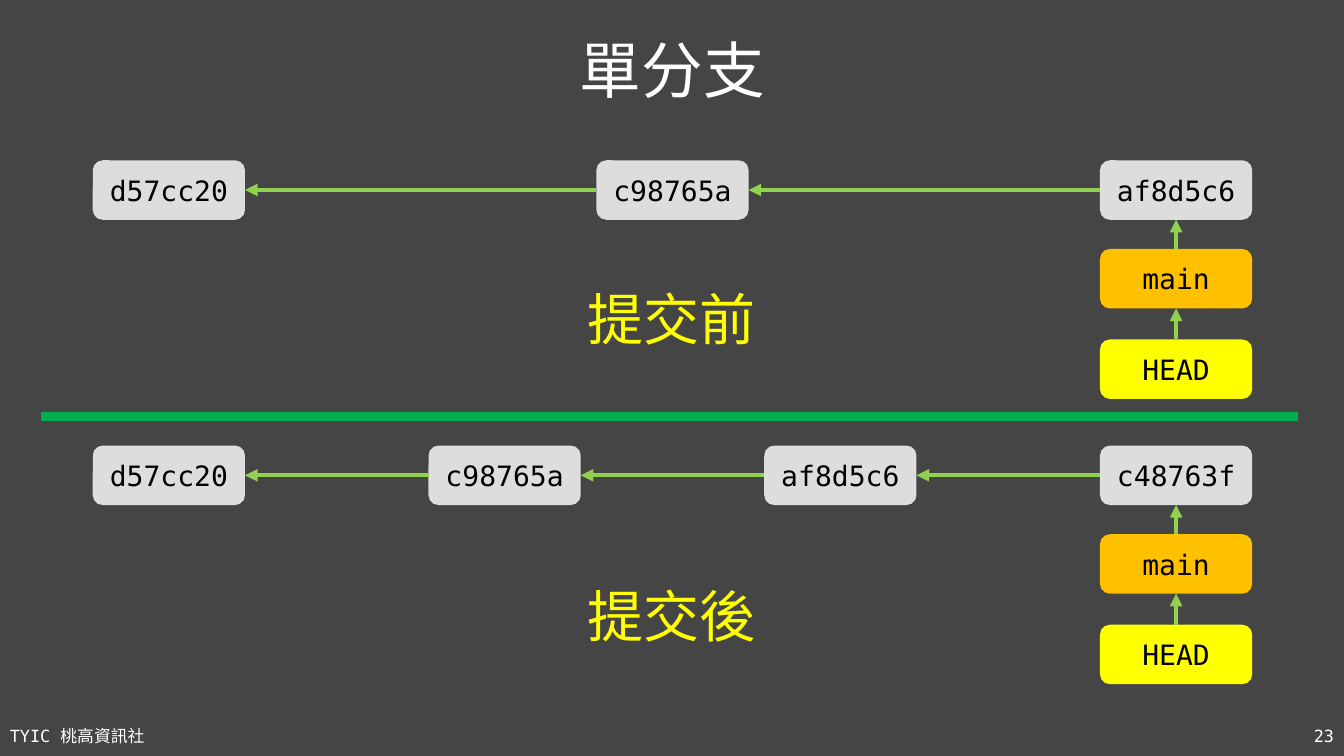
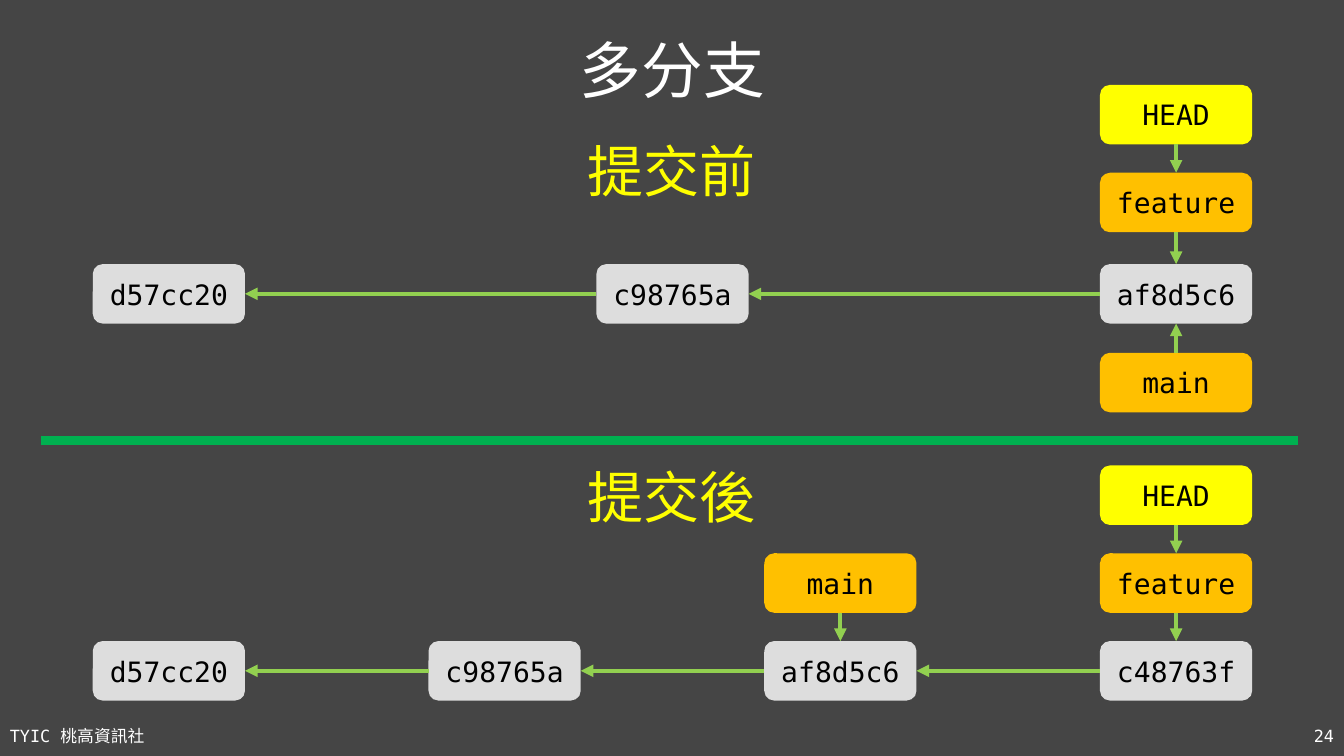
"""Builds two slides that compare commit histories before and after a commit."""
from dataclasses import dataclass

from lxml import etree
from pptx import Presentation
from pptx import util as u
from pptx.dml.color import RGBColor
from pptx.enum import shapes, text
from pptx.oxml.ns import qn

SLIDE_W, SLIDE_H = 13.33, 7.5
FONT = "DejaVu Sans Mono"
BACKGROUND, WHITE, BLACK = "454545", "FFFFFF", "000000"
COMMIT, BRANCH, HEAD = "DDDDDD", "FFC000", "FFFF00"
ARROW, DIVIDER = "92D050", "00B050"
NODE_W, NODE_H = 1.51, 0.59
FIRST_X, LAST_X = 0.92, 10.91
STEP = 0.88
FOOTER = "TYIC 桃高資訊社"
FOOTER_W, FOOTER_H = 3, 0.4
FIRST_PAGE = 23
TOP, LEFT, BOTTOM, RIGHT = range(4)
ALIGN, ANCHOR = text.PP_ALIGN, text.MSO_ANCHOR


@dataclass(frozen=True)
class Pointer:
    """A branch or HEAD box, placed below (+) or above (-) its commit."""
    name: str
    commit: int
    rows: float
    fill: str = BRANCH


@dataclass(frozen=True)
class History:
    """A row of commits with pointers listed outwards from each commit."""
    caption: str
    caption_y: float
    y: float
    commits: tuple[str, ...]
    pointers: tuple[Pointer, ...]


@dataclass(frozen=True)
class Comparison:
    """One slide with a history on each side of a divider."""
    title: str
    divider_y: float
    histories: tuple[History, History]


BEFORE = ("d57cc20", "c98765a", "af8d5c6")
AFTER = BEFORE + ("c48763f",)
MAIN_BELOW = (Pointer("main", -1, 1), Pointer("HEAD", -1, 2.02, HEAD))

COMPARISONS = (
    Comparison("單分支", 4.13, (
        History("提交前", 2.77, 1.59, BEFORE, MAIN_BELOW),
        History("提交後", 5.72, 4.42, AFTER, MAIN_BELOW))),
    Comparison("多分支", 4.37, (
        History("提交前", 1.31, 2.62, BEFORE, (
            Pointer("main", -1, 1),
            Pointer("feature", -1, -1.03),
            Pointer("HEAD", -1, -2.02, HEAD))),
        History("提交後", 4.54, 6.36, AFTER, (
            Pointer("main", -2, -0.99),
            Pointer("feature", -1, -0.99),
            Pointer("HEAD", -1, -1.98, HEAD))))),
)


def rgb(value: str) -> RGBColor:
    """Turn a hex string into a colour."""
    return RGBColor.from_string(value)


def write(frame, words: str, size: float, color: str, align=ALIGN.CENTER):
    """Fill a text frame with one formatted paragraph and return it."""
    frame.text = words
    paragraph = frame.paragraphs[0]
    paragraph.alignment = align
    for run in paragraph.runs:
        run.font.name = FONT
        run.font.size = u.Pt(size)
        run.font.color.rgb = rgb(color)
    return paragraph


def add_label(slide, box: tuple[float, ...], words: str, size: float, color: str,
              align=ALIGN.CENTER, anchor=ANCHOR.MIDDLE, wrap: bool = True):
    """Add a text box and return its paragraph."""
    frame = slide.shapes.add_textbox(*map(u.Inches, box)).text_frame
    frame.word_wrap = wrap
    frame.vertical_anchor = anchor
    return write(frame, words, size, color, align)


def add_node(group, x: float, y: float, name: str, fill: str):
    """Add a rounded box for a commit or a pointer."""
    node = group.shapes.add_shape(shapes.MSO_SHAPE.ROUNDED_RECTANGLE,
                                  *map(u.Inches, (x, y, NODE_W, NODE_H)))
    node.shadow.inherit = False
    node.fill.solid()
    node.fill.fore_color.rgb = rgb(fill)
    node.line.fill.background()
    node.text_frame.vertical_anchor = ANCHOR.MIDDLE
    write(node.text_frame, name, 20, BLACK)
    return node


def style_line(line, color: str, width: float, arrow: bool = False) -> None:
    """Set colour and width, drop the shadow and optionally add an arrowhead."""
    line.line.color.rgb = rgb(color)
    line.line.width = u.Pt(width)
    properties = line._element.spPr
    if arrow:
        etree.SubElement(properties.find(qn("a:ln")), qn("a:tailEnd"), type="triangle")
    etree.SubElement(properties, qn("a:effectLst"))


def add_arrow(group, source, source_side: int, target, target_side: int) -> None:
    """Join two nodes with an arrow that points at the target."""
    arrow = group.shapes.add_connector(shapes.MSO_CONNECTOR.STRAIGHT, source.left,
                                       source.top, target.left, target.top)
    arrow.begin_connect(source, source_side)
    arrow.end_connect(target, target_side)
    style_line(arrow, ARROW, 3, arrow=True)


def add_history(slide, history: History) -> None:
    """Draw the commits, their pointers and the caption."""
    group = slide.shapes.add_group_shape()
    pitch = (LAST_X - FIRST_X) / (len(history.commits) - 1)
    columns = [FIRST_X + i * pitch for i in range(len(history.commits))]
    commits = [add_node(group, x, history.y, name, COMMIT)
               for x, name in zip(columns, history.commits)]
    for parent, child in zip(commits, commits[1:]):
        add_arrow(group, child, LEFT, parent, RIGHT)

    outermost = {}
    for pointer in history.pointers:
        below = pointer.rows > 0
        stack = (pointer.commit, below)
        node = add_node(group, columns[pointer.commit],
                        history.y + pointer.rows * STEP, pointer.name, pointer.fill)
        target = outermost.get(stack, commits[pointer.commit])
        sides = (TOP, BOTTOM) if below else (BOTTOM, TOP)
        add_arrow(group, node, sides[0], target, sides[1])
        outermost[stack] = node

    add_label(slide, (5.72, history.caption_y, 1.88, 0.77), history.caption, 40, HEAD,
              anchor=ANCHOR.TOP, wrap=False)


def add_comparison(deck, comparison: Comparison, page: int) -> None:
    """Add one slide with its title, divider, histories and footer."""
    slide = deck.slides.add_slide(deck.slide_layouts[6])
    slide.background.fill.solid()
    slide.background.fill.fore_color.rgb = rgb(BACKGROUND)

    footer_y = SLIDE_H - FOOTER_H
    add_label(slide, (0, footer_y, FOOTER_W, FOOTER_H), FOOTER, 12, WHITE, ALIGN.LEFT)
    add_label(slide, (SLIDE_W - FOOTER_W, footer_y, FOOTER_W, FOOTER_H), str(page), 12,
              WHITE, ALIGN.RIGHT)
    title = add_label(slide, (FIRST_X, 0, 11.5, 1.45), comparison.title, 44, WHITE)
    title.line_spacing = 0.9

    for history in comparison.histories:
        add_history(slide, history)
    y = comparison.divider_y
    divider = slide.shapes.add_connector(shapes.MSO_CONNECTOR.STRAIGHT,
                                         *map(u.Inches, (0.41, y, 12.87, y)))
    style_line(divider, DIVIDER, 6)


def main() -> None:
    """Build and save the deck."""
    deck = Presentation()
    deck.slide_width, deck.slide_height = u.Inches(SLIDE_W), u.Inches(SLIDE_H)
    for page, comparison in enumerate(COMPARISONS, FIRST_PAGE):
        add_comparison(deck, comparison, page)
    deck.save("out.pptx")


if __name__ == "__main__":
    main()
